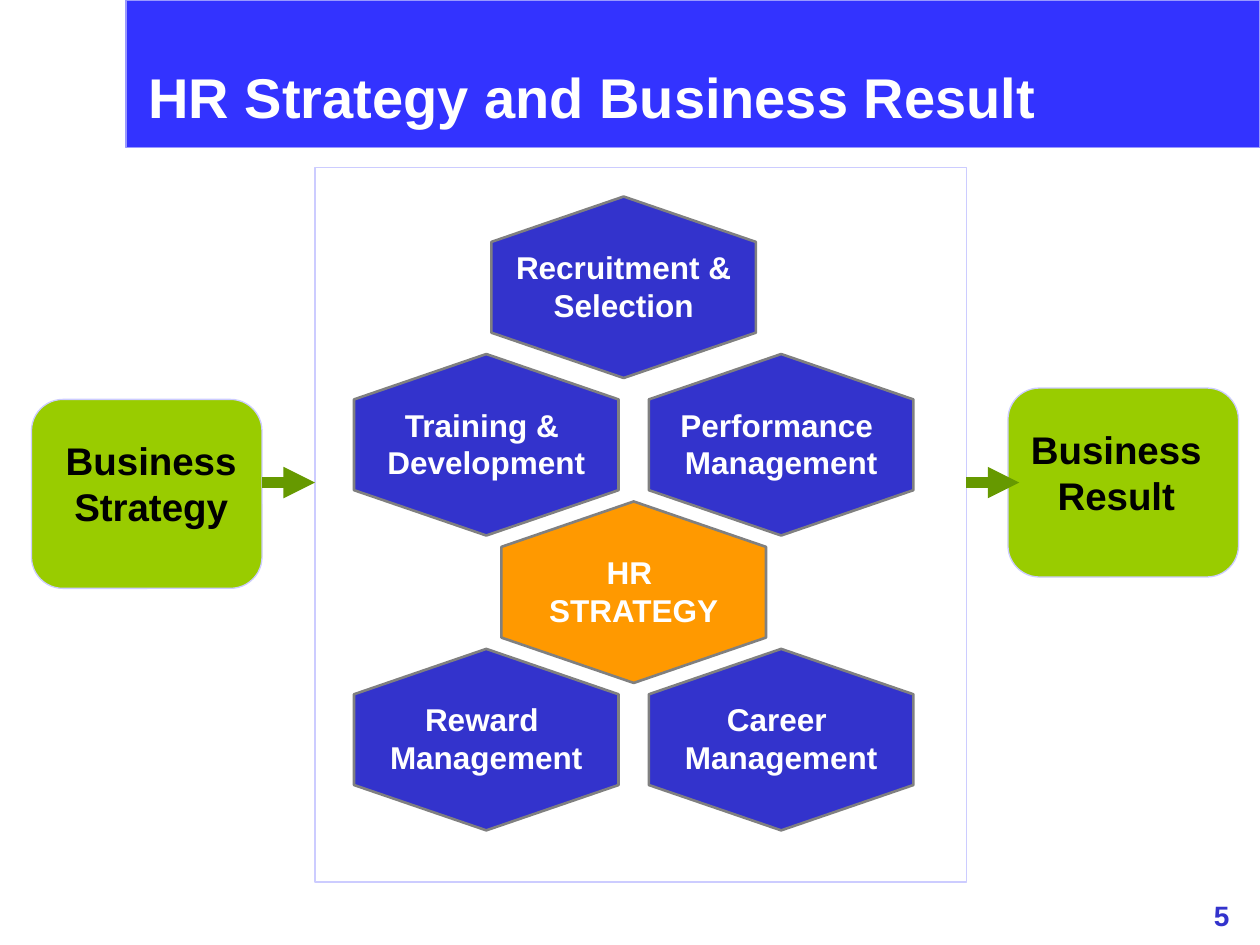
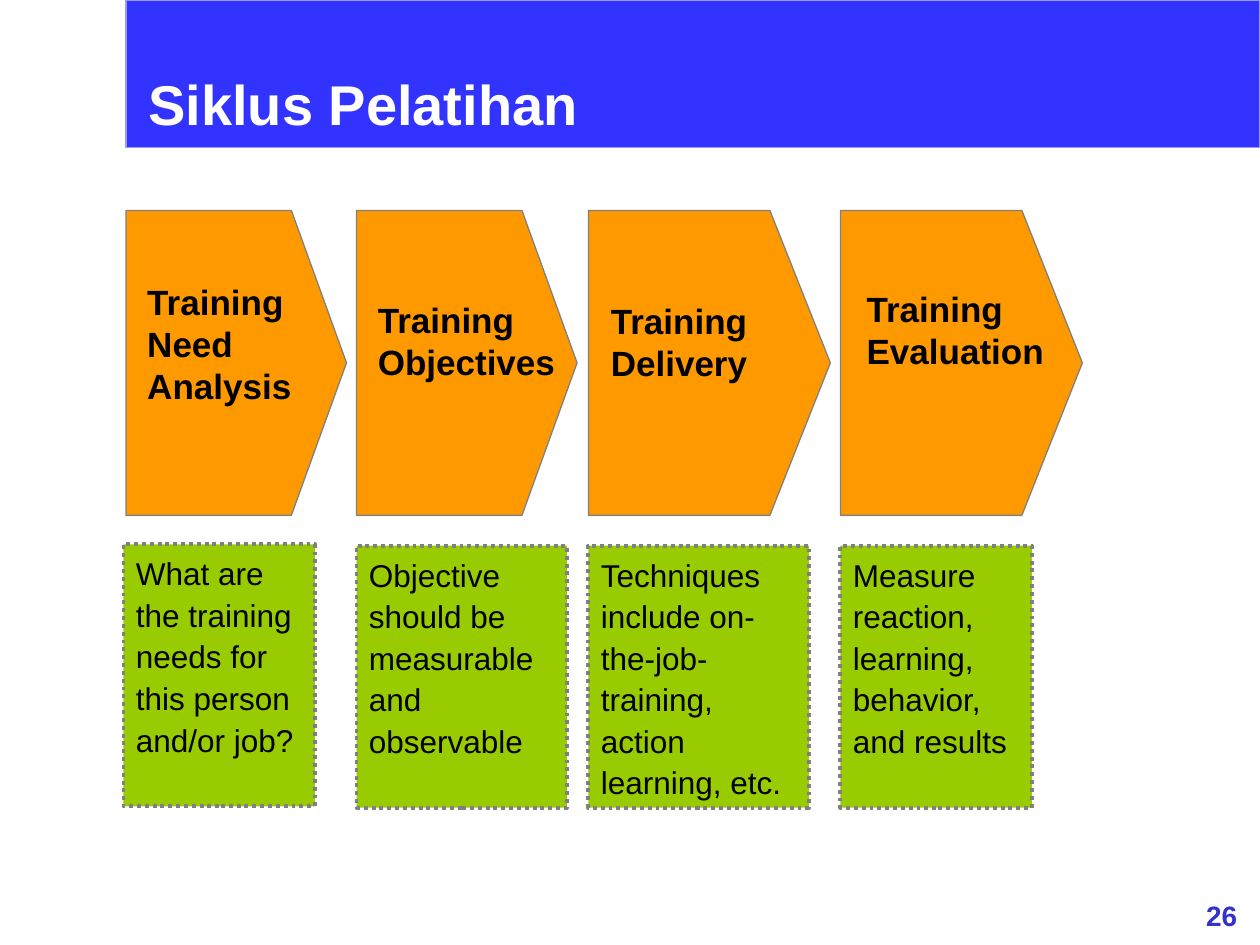
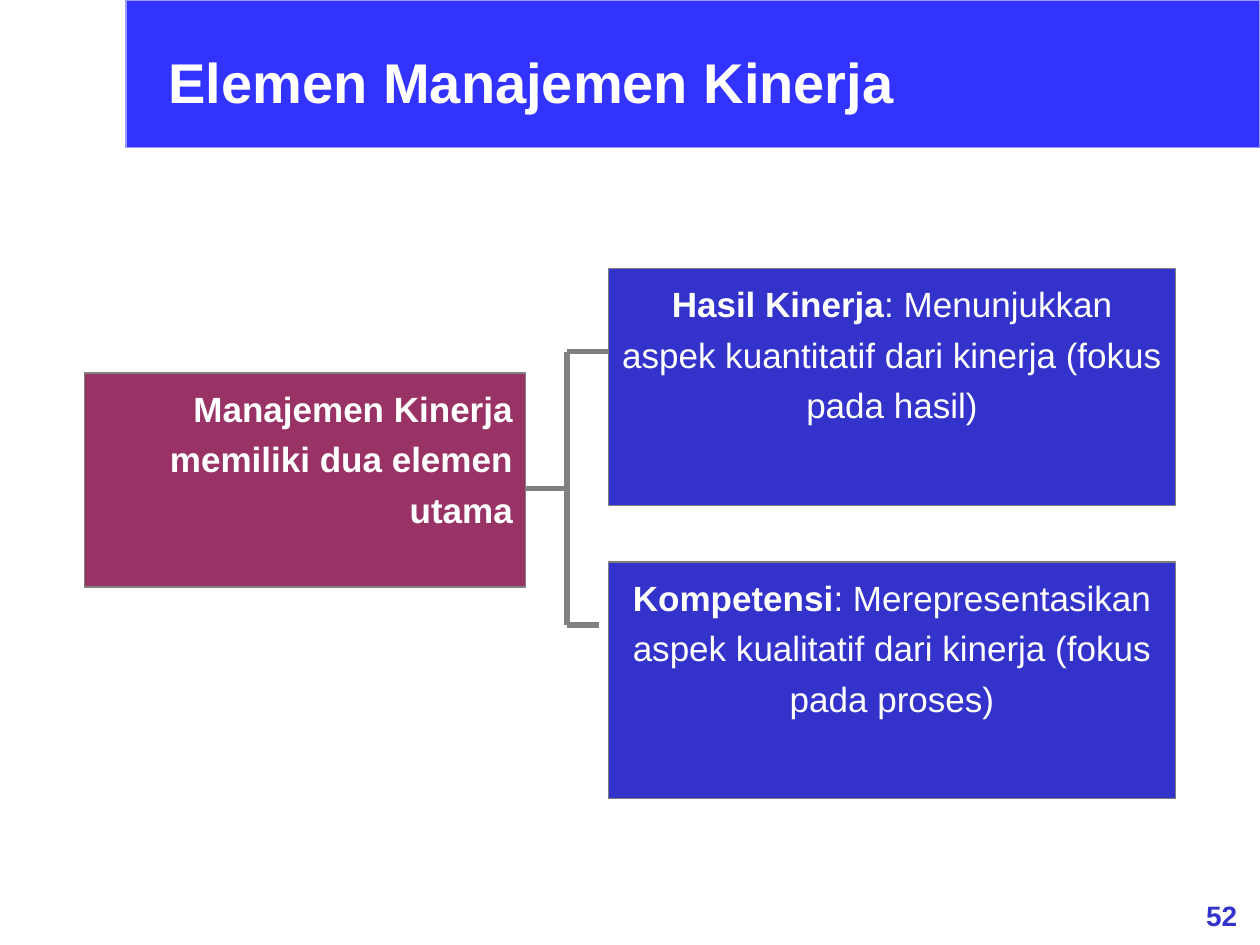
from pptx import Presentation
from pptx.dml.color import RGBColor
from pptx.enum.dml import MSO_LINE
from pptx.enum.shapes import MSO_CONNECTOR, MSO_SHAPE
from pptx.enum.text import MSO_ANCHOR, MSO_AUTO_SIZE, PP_ALIGN
from pptx.oxml.ns import qn
from pptx.util import Inches, Pt
from lxml import etree

RECT, ROUND, HEX = MSO_SHAPE.RECTANGLE, MSO_SHAPE.ROUNDED_RECTANGLE, MSO_SHAPE.HEXAGON
LEFT, MID, RIGHT = PP_ALIGN.LEFT, PP_ALIGN.CENTER, PP_ALIGN.RIGHT
TOP, GROW = MSO_ANCHOR.TOP, MSO_AUTO_SIZE.SHAPE_TO_FIT_TEXT
STRAIGHT, DOTS = MSO_CONNECTOR.STRAIGHT, MSO_LINE.ROUND_DOT

FONT = "Arial"
COLORS = {
    "band": "3333FF", "edge": "9999FF", "blue": "3333CC", "pale": "CCCCFF",
    "lime": "99CC00", "green": "669900", "orange": "FF9900", "plum": "993366",
    "gray": "808080", "white": "FFFFFF", "black": "000000",
}


def rgb(name):
    return RGBColor.from_string(COLORS[name])


def paint(shape, fill, line, width=0.75):
    """Set fill and outline; no fill when fill is None."""
    shape.shadow.inherit = False
    if fill:
        shape.fill.solid()
        shape.fill.fore_color.rgb = rgb(fill)
    else:
        shape.fill.background()
    shape.line.color.rgb = rgb(line)
    shape.line.width = Pt(width)


def write(shape, text, size, color, bold=True, align=LEFT, space=None):
    """Write text, one paragraph per line, and format its runs."""
    frame = shape.text_frame
    frame.word_wrap = True
    frame.vertical_anchor = TOP
    frame.text = text
    for par in frame.paragraphs:
        par.alignment = align
        if space:
            par.line_spacing = space
        for run in par.runs:
            style(run, size, color, bold)


def style(run, size, color, bold):
    run.font.name = FONT
    run.font.size = Pt(size)
    run.font.bold = bold
    run.font.color.rgb = rgb(color)


def add_box(slide, kind, x, y, w, h, fill, line, width=0.75):
    box = slide.shapes.add_shape(kind, Inches(x), Inches(y), Inches(w), Inches(h))
    paint(box, fill, line, width)
    return box


def add_text(slide, x, y, w, h, text, size, color, **look):
    box = slide.shapes.add_textbox(Inches(x), Inches(y), Inches(w), Inches(h))
    write(box, text, size, color, **look)
    box.text_frame.auto_size = GROW


def add_label(slide, x, y, w, h, text, size, color):
    """Centred text around the point x, y."""
    add_text(slide, x - w / 2, y - h / 2, w, h, text, size, color, align=MID)


def add_line(slide, x1, y1, x2, y2, color, width, arrow=False):
    line = slide.shapes.add_connector(
        STRAIGHT, Inches(x1), Inches(y1), Inches(x2), Inches(y2))
    line.line.color.rgb = rgb(color)
    line.line.width = Pt(width)
    props = line._element.spPr
    if arrow:
        etree.SubElement(props.find(qn("a:ln")), qn("a:tailEnd"), type="triangle")
    etree.SubElement(props, qn("a:effectLst"))


def add_hex(slide, x, y, text, fill):
    """Upright hexagon with its label, centred on x, y."""
    w, h = 1.44, 2.1
    shape = add_box(slide, HEX, x - w / 2, y - h / 2, w, h, fill, "gray", 1.5)
    shape.rotation = 270
    add_label(slide, x, y - 0.01, 2, 0.7, text, 18, "white")


def add_step(slide, x, w):
    """Block arrow whose point takes the last quarter of its width."""
    top, h = 1.67, 2.42
    neck = x + 0.75 * w
    spots = [(neck, top), (x + w, top + h / 2), (neck, top + h), (x, top + h)]
    pen = slide.shapes.build_freeform(Inches(x), Inches(top))
    pen.add_line_segments([(Inches(a), Inches(b)) for a, b in spots])
    paint(pen.convert_to_shape(), "orange", "gray")


def add_page(deck, title, x, y, number, space=None):
    """Blank slide with title band, title and page number."""
    slide = deck.slides.add_slide(deck.slide_layouts[6])
    add_box(slide, RECT, 1, 0, 9, 1.17, "band", "edge")
    add_text(slide, 9.39, 7.08, 0.61, 0.37, number, 16, "blue", align=MID)
    add_text(slide, x, y, 7.92, 0.65, title, 32, "white", space=space)
    return slide


def make_result(deck):
    slide = add_page(deck, "HR Strategy and Business Result", 1.08, 0.42, "5", 1.05)
    add_box(slide, RECT, 2.5, 1.33, 5.17, 5.67, None, "pale")

    # Start and end blocks
    ends = [(0.25, 3.17, 1.2, "Business\nStrategy"),
            (8, 3.08, 8.86, "Business\nResult")]
    for x, y, mid, text in ends:
        add_box(slide, ROUND, x, y, 1.83, 1.5, "lime", "pale")
        add_label(slide, mid, y + 0.67, 1.7, 0.84, text, 22, "black")

    # Honeycomb
    cells = [
        (4.95, 2.28, "Recruitment &\nSelection", "blue"),
        (3.86, 3.53, "Training & \nDevelopment", "blue"),
        (6.2, 3.53, "Performance \nManagement", "blue"),
        (3.86, 5.87, "Reward \nManagement", "blue"),
        (6.2, 5.87, "Career \nManagement", "blue"),
        (5.03, 4.7, "HR \nSTRATEGY", "orange"),
    ]
    for cell in cells:
        add_hex(slide, *cell)

    # Flow arrows
    for x in (2.08, 7.67):
        add_line(slide, x, 3.83, x + 0.42, 3.83, "green", 6, arrow=True)


def make_cycle(deck):
    slide = add_page(deck, "Siklus Pelatihan", 1.08, 0.5, "26")
    # Arrow left and width, text left, top and width, text
    steps = [
        (1, 1.75, 1.07, 2.18, 1.85, "Training Need Analysis"),
        (2.83, 1.75, 2.9, 2.32, 1.68, "Training Objectives"),
        (4.67, 1.92, 4.75, 2.33, 1.37, "Training\nDelivery"),
        (6.67, 1.92, 6.78, 2.23, 1.8, "Training Evaluation"),
    ]
    for x, w, left, top, wide, text in steps:
        add_step(slide, x, w)
        add_text(slide, left, top, wide, 0.77, text, 20, "black")

    # Notes under the arrows
    notes = [
        (0.98, 4.32, 1.52, "What are the training needs for this person and/or job?"),
        (2.83, 4.33, 1.67, "Objective should be measurable and observable"),
        (4.67, 4.33, 1.75,
         "Techniques include on-the-job-training, action learning, etc."),
        (6.67, 4.33, 1.52, "Measure reaction, learning, behavior, and results"),
    ]
    for x, y, w, text in notes:
        note = add_box(slide, RECT, x, y, w, 2.08, "lime", "gray", 2.25)
        note.line.dash_style = DOTS
        write(note, text, 18, "black", bold=False, space=1.1)


def make_parts(deck):
    slide = add_page(deck, "Elemen Manajemen Kinerja", 1.24, 0.33, "52")
    root = add_box(slide, RECT, 0.67, 2.96, 3.5, 1.7, "plum", "gray")
    write(root, "Manajemen Kinerja memiliki dua elemen utama", 20, "white",
          align=RIGHT, space=1.2)

    # The two elements
    parts = [
        (2.13, "Hasil Kinerja",
         ": Menunjukkan aspek kuantitatif dari kinerja (fokus pada hasil)"),
        (4.46, "Kompetensi",
         ": Merepresentasikan aspek kualitatif dari kinerja (fokus pada proses)"),
    ]
    for y, name, text in parts:
        box = add_box(slide, RECT, 4.83, y, 4.5, 1.88, "blue", "gray")
        write(box, name, 20, "white", align=MID, space=1.2)
        run = box.text_frame.paragraphs[0].add_run()
        run.text = text
        style(run, 20, "white", False)

    # Bracket: trunk, branches, stem
    trunk, high, low = 4.5, 2.79, 4.96
    for ends in [(trunk, high, trunk, low), (trunk, low, 4.75, low),
                 (trunk, high, 4.83, high), (4.17, 3.88, trunk, 3.88)]:
        add_line(slide, *ends, "gray", 3)


def main():
    deck = Presentation()
    deck.slide_width, deck.slide_height = Inches(10), Inches(7.5)
    make_result(deck)
    make_cycle(deck)
    make_parts(deck)
    deck.save("out.pptx")


if __name__ == "__main__":
    main()
